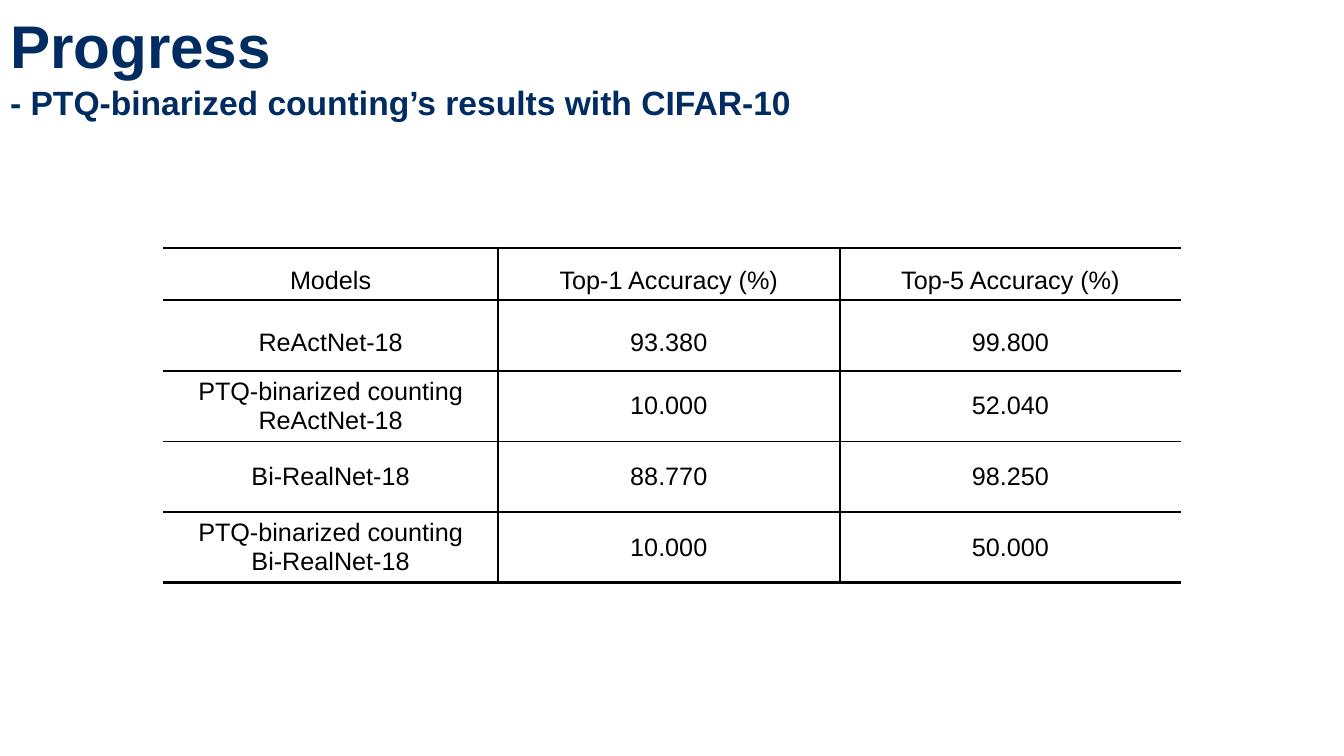
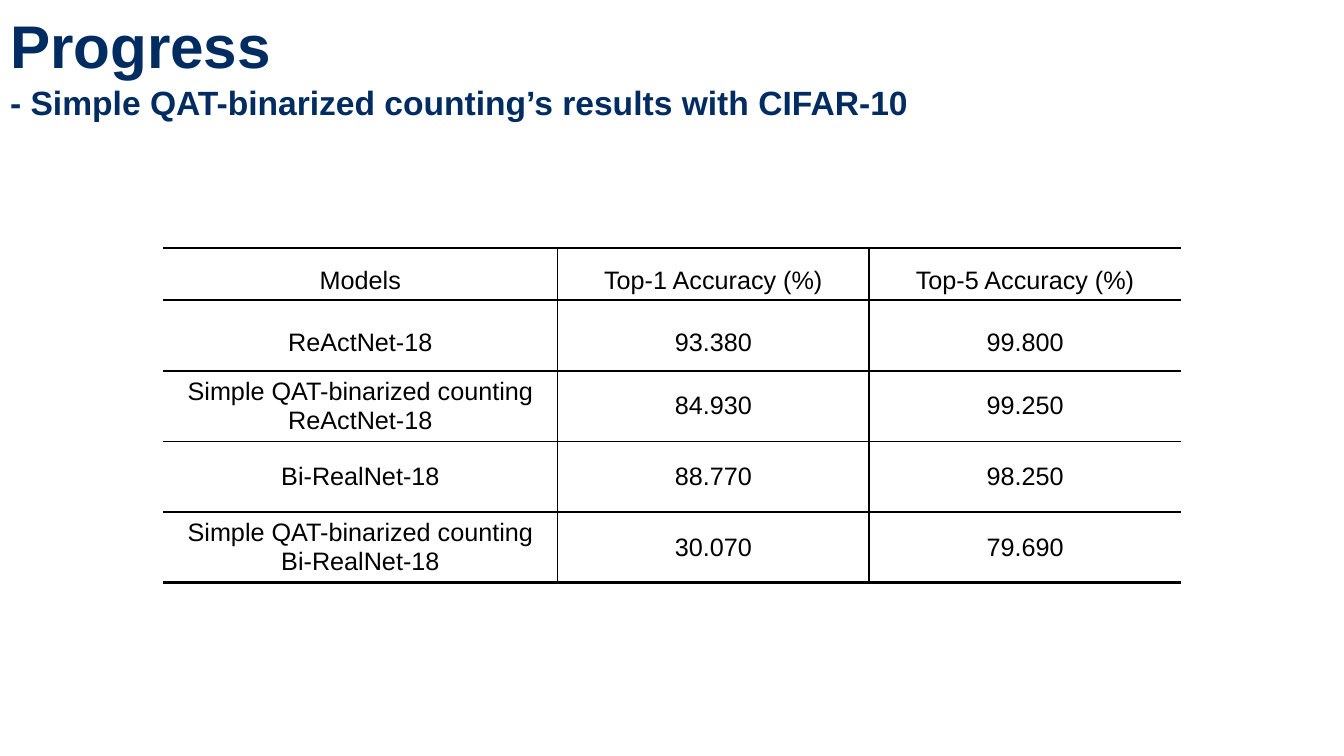
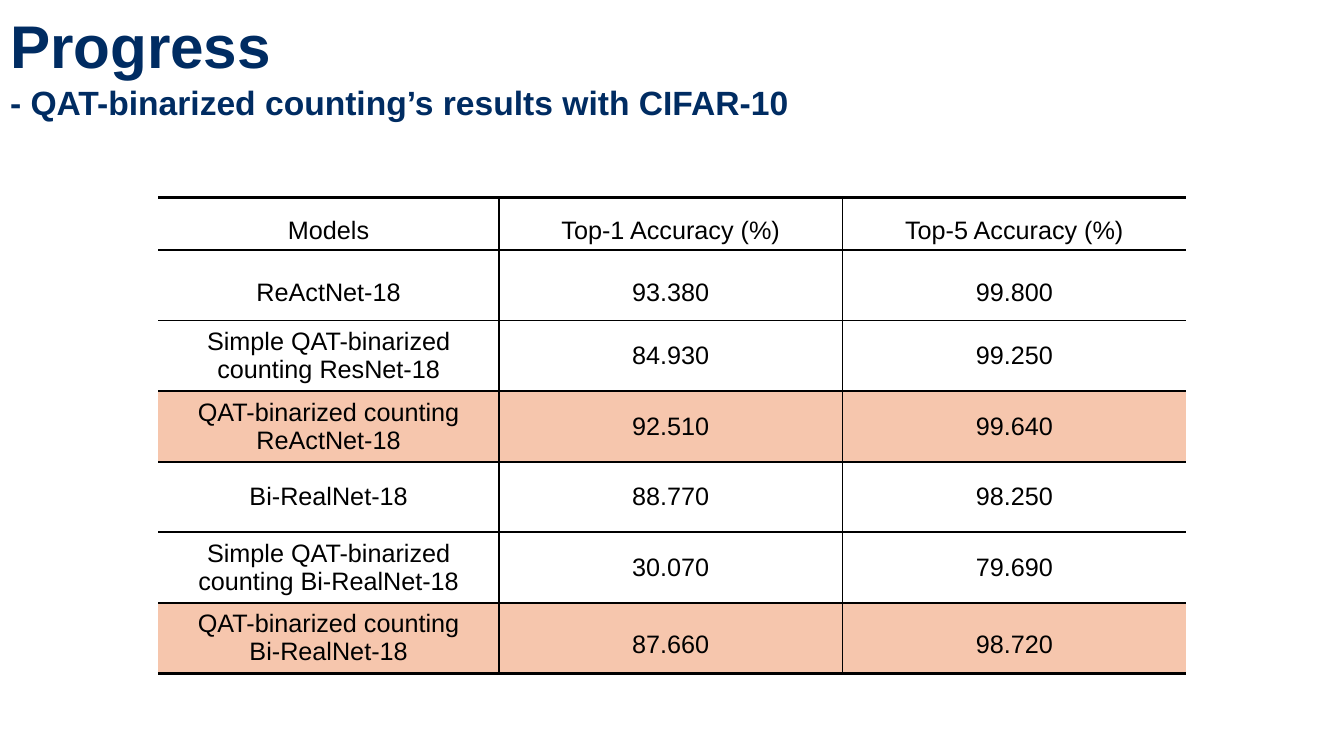
import pptx
import pptx.dml.color
import pptx.enum.text
import pptx.oxml
import pptx.oxml.ns
import pptx.util

Pt = pptx.util.Pt
MIDDLE = pptx.enum.text.MSO_ANCHOR.MIDDLE
ALIGN = pptx.enum.text.PP_ALIGN
COLORS = {"navy": "002C62", "black": "000000", "highlight": "F6C6AD"}
SLIDE_WIDTH, SLIDE_HEIGHT = 960, 540
THIN, THICK = 1.5, 2.25
HEADER_HEIGHT, ROW_HEIGHT = 26.64, 50.4

HEADER = ("Models", "Top-1 Accuracy (%)", "Top-5 Accuracy (%)")
REACTNET = ("ReActNet-18", "93.380", "99.800")
BI_REALNET = ("Bi-RealNet-18", "88.770", "98.250")


def rgb(name):
    return pptx.dml.color.RGBColor.from_string(COLORS[name])


class Deck:
    def __init__(self):
        self.presentation = pptx.Presentation()
        self.presentation.slide_width = Pt(SLIDE_WIDTH)
        self.presentation.slide_height = Pt(SLIDE_HEIGHT)
        self.slide = None

    def add_slide(self, subtitle):
        self.slide = self.presentation.slides.add_slide(
            self.presentation.slide_layouts[5])
        self.title("Progress", subtitle)

    def style(self, paragraph, size, color, bold=False, align=ALIGN.LEFT):
        paragraph.alignment = align
        font_format = {"name": "Arial", "size": Pt(size), "bold": bold}
        for attribute, value in font_format.items():
            setattr(paragraph.font, attribute, value)
        paragraph.font.color.rgb = rgb(color)

    def title(self, heading, subtitle):
        title = self.slide.shapes.title
        place = {"left": 0, "top": 0, "width": SLIDE_WIDTH, "height": 87.84}
        for attribute, value in place.items():
            setattr(title, attribute, Pt(value))
        frame = title.text_frame
        frame_format = {
            "text": f"{heading}\n{subtitle}", "word_wrap": True,
            "auto_size": pptx.enum.text.MSO_AUTO_SIZE.NONE,
            "vertical_anchor": MIDDLE,
            "margin_left": Pt(7.2), "margin_top": Pt(9), "margin_bottom": Pt(3.6)}
        for attribute, value in frame_format.items():
            setattr(frame, attribute, value)
        for paragraph, size in zip(frame.paragraphs, (43, 24)):
            self.style(paragraph, size, "navy", bold=True)
        frame.paragraphs[1].space_before = Pt(1.5)

    def borders(self, cell, widths):
        """Draw left, right, top and bottom edges; a width of 0 hides one."""
        properties = cell._tc.get_or_add_tcPr()
        for position, (side, width) in enumerate(zip("LRTB", widths)):
            paint = (f'<a:solidFill><a:srgbClr val="{COLORS["black"]}"/></a:solidFill>'
                     if width else "<a:noFill/>")
            properties.insert(position, pptx.oxml.parse_xml(
                f'<a:ln{side} {pptx.oxml.ns.nsdecls("a")} w="{Pt(width)}">'
                f"{paint}</a:ln{side}>"))

    def cell(self, cell, text, spacing, fill):
        cell.text = text
        cell.vertical_anchor = MIDDLE
        for paragraph in cell.text_frame.paragraphs:
            self.style(paragraph, 18, "black", align=ALIGN.CENTER)
            paragraph.line_spacing = spacing
        if fill:
            cell.fill.solid()
            cell.fill.fore_color.rgb = rgb(fill)
        else:
            cell.fill.background()

    def results(self, left, top, model_width, accuracy_width, body,
                highlighted=(), loose_cells=()):
        """Add an accuracy table; loose_cells are extra (row, column) at 1.5 lines."""
        rows = [HEADER, *body]
        widths = (model_width, accuracy_width, accuracy_width)
        heights = [HEADER_HEIGHT] + [ROW_HEIGHT] * len(body)
        table = self.slide.shapes.add_table(
            len(rows), len(widths), Pt(left), Pt(top),
            Pt(sum(widths)), Pt(sum(heights))).table
        table.first_row = table.horz_banding = False
        for column, width in zip(table.columns, widths):
            column.width = Pt(width)
        last_row, last_column = len(rows) - 1, len(widths) - 1
        for r, texts in enumerate(rows):
            table.rows[r].height = Pt(heights[r])
            for c, text in enumerate(texts):
                loose = r < 2 or (r, c) in loose_cells
                self.cell(table.cell(r, c), text, 1.5 if loose else 1.0,
                          "highlight" if r in highlighted else None)
                self.borders(table.cell(r, c), (
                    THIN if c else 0,
                    THIN if c < last_column else 0,
                    THIN if r else THICK,
                    THIN if r < last_row else THICK))


def main():
    deck = Deck()

    deck.add_slide("- PTQ-binarized counting’s results with CIFAR-10")
    deck.results(116.64, 177.12, 239.04, 244.08, [
        REACTNET,
        ("PTQ-binarized counting\nReActNet-18", "10.000", "52.040"),
        BI_REALNET,
        ("PTQ-binarized counting\nBi-RealNet-18", "10.000", "50.000")])

    deck.add_slide("- Simple QAT-binarized counting’s results with CIFAR-10")
    deck.results(116.64, 177.12, 281.52, 222.7, [
        REACTNET,
        ("Simple QAT-binarized counting\nReActNet-18", "84.930", "99.250"),
        BI_REALNET,
        ("Simple QAT-binarized counting\nBi-RealNet-18", "30.070", "79.690")])

    deck.add_slide("- QAT-binarized counting’s results with CIFAR-10")
    deck.results(113.04, 141.12, 243.36, 245.4, [
        REACTNET,
        ("Simple QAT-binarized counting ResNet-18", "84.930", "99.250"),
        ("QAT-binarized counting\nReActNet-18", "92.510", "99.640"),
        BI_REALNET,
        ("Simple QAT-binarized counting Bi-RealNet-18", "30.070", "79.690"),
        ("QAT-binarized counting\nBi-RealNet-18", "87.660", "98.720")],
        highlighted=(3, 6), loose_cells=((6, 1), (6, 2)))

    deck.presentation.save("out.pptx")


if __name__ == "__main__":
    main()
